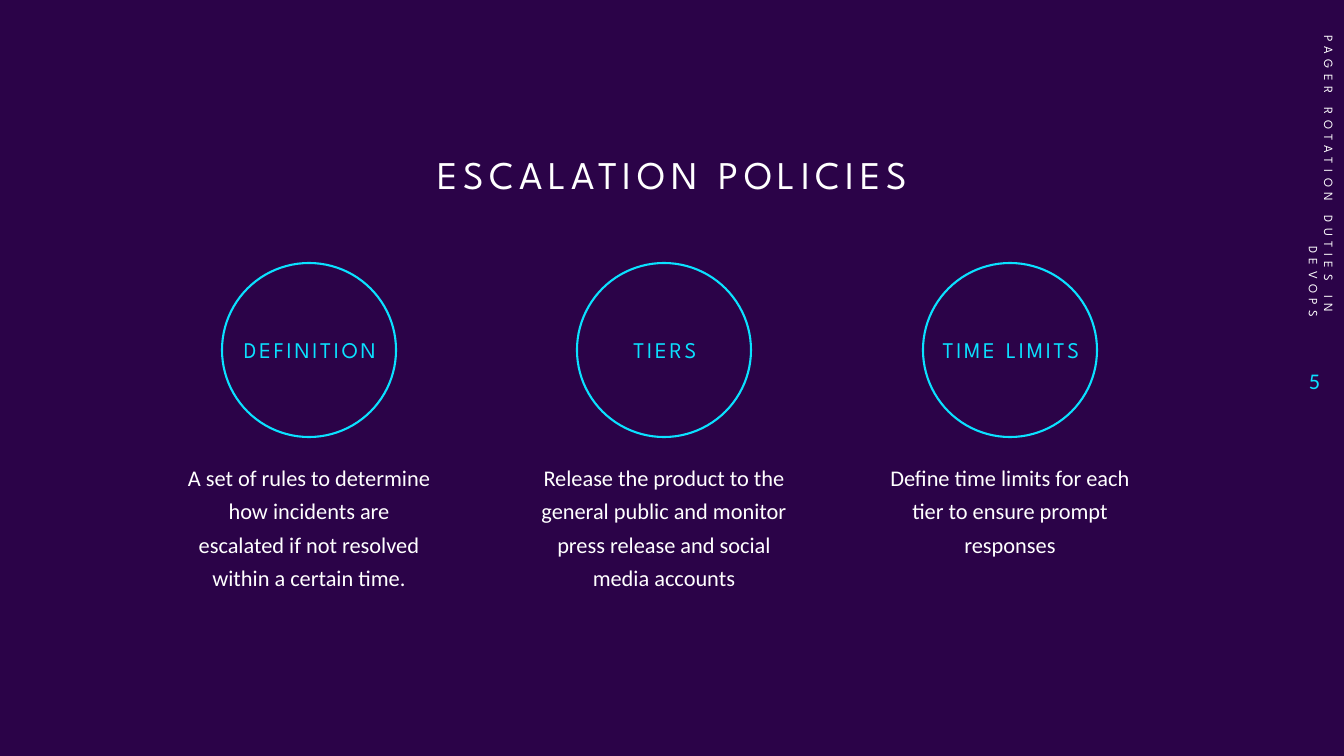
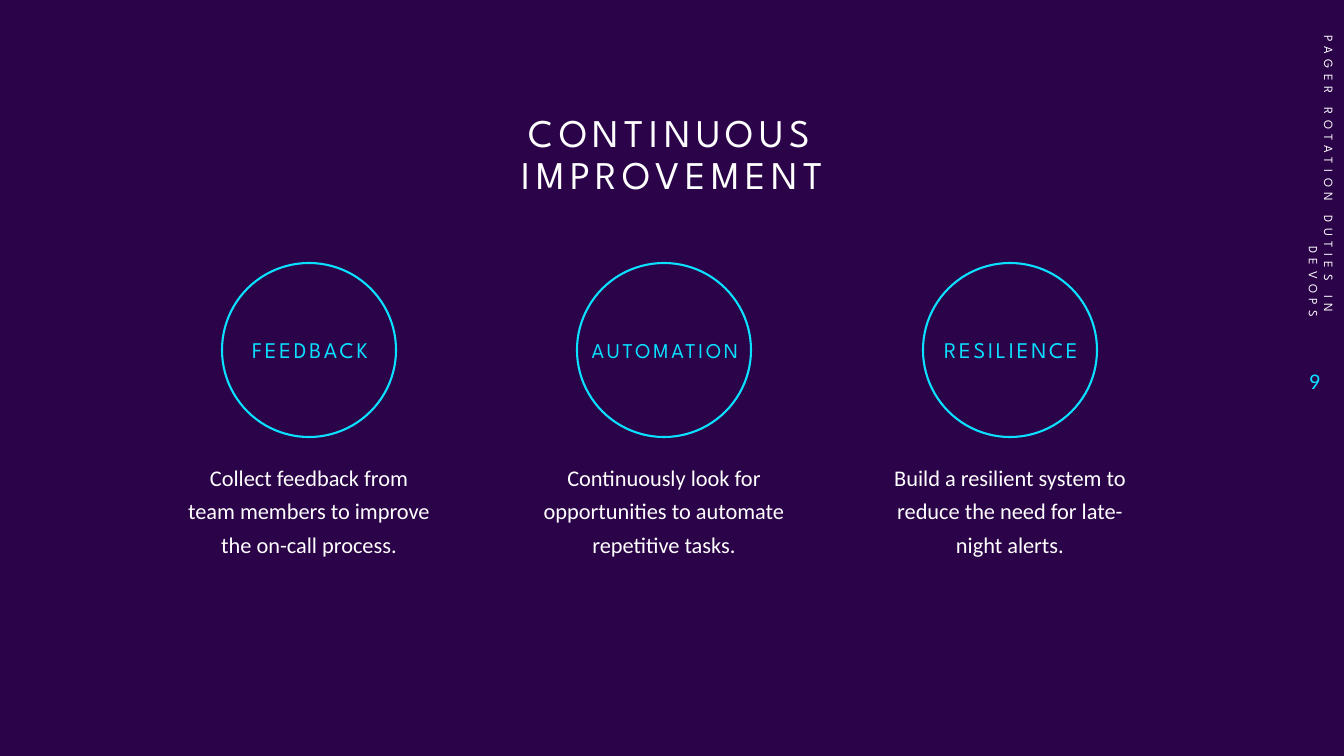
from dataclasses import dataclass

from pptx import Presentation
from pptx.dml.color import RGBColor
from pptx.enum.shapes import MSO_SHAPE
from pptx.enum.text import MSO_ANCHOR, PP_ALIGN
from pptx.util import Emu, Pt

OVAL = MSO_SHAPE.OVAL
TOP, MIDDLE, BOTTOM = MSO_ANCHOR.TOP, MSO_ANCHOR.MIDDLE, MSO_ANCHOR.BOTTOM
CENTER, RIGHT = PP_ALIGN.CENTER, PP_ALIGN.RIGHT
PX_PER_INCH = 100.8


@dataclass(frozen=True)
class Theme:
    background: RGBColor = RGBColor(0x2B, 0x03, 0x48)
    accent: RGBColor = RGBColor(0x0B, 0xE1, 0xFF)
    text: RGBColor = RGBColor(0xFF, 0xFF, 0xFF)
    heading_font: str = "League Spartan"
    body_font: str = "Calibri"
    title_size: int = 28
    label_size: int = 16
    long_label_size: int = 15
    body_size: int = 16
    caption_size: int = 9
    title_tracking: int = 4
    label_tracking: int = 2
    caption_tracking: int = 4
    ring_width: float = 1.5


THEME = Theme()
SLIDE_W, SLIDE_H = 1344, 756
COLUMN_CENTERS = (309, 664, 1010)
RING_TOP, RING_SIZE = 263, 174
LABEL_W, LABEL_H = 188, 116
BODY_TOP, BODY_W, BODY_H = 452, 268, 150
CAPTION = "PAGER ROTATION DUTIES IN DEVOPS"

SLIDES = [
    ("ESCALATION POLICIES", 5, [
        ("DEFINITION", THEME.label_size,
         "A set of rules to determine how incidents are escalated "
         "if not resolved within a certain time."),
        ("TIERS", THEME.label_size,
         "Release the product to the general public and monitor "
         "press release and social media accounts"),
        ("TIME LIMITS", THEME.label_size,
         "Define time limits for each tier to ensure prompt responses"),
    ]),
    ("CONTINUOUS IMPROVEMENT", 9, [
        ("FEEDBACK", THEME.label_size,
         "Collect feedback from team members to improve the on-call process."),
        ("AUTOMATION", THEME.long_label_size,
         "Continuously look for opportunities to automate repetitive tasks."),
        ("RESILIENCE", THEME.label_size,
         "Build a resilient system to reduce the need for late-night alerts."),
    ]),
]


def px(n):
    return Emu(round(n * 914400 / PX_PER_INCH))


def add_text(s, box, text, size, font, color, align=CENTER, anchor=MIDDLE,
             tracking=0, line_spacing=1.0):
    tb = s.shapes.add_textbox(*map(px, box))
    tf = tb.text_frame
    tf.word_wrap = True
    tf.vertical_anchor = anchor
    p = tf.paragraphs[0]
    p.alignment = align
    p.line_spacing = line_spacing
    r = p.add_run()
    r.text = text
    r.font.size = Pt(size)
    r.font.name = font
    r.font.color.rgb = color
    if tracking:
        r.font._element.set("spc", str(tracking * 100))
    return tb


def add_ring(s, center):
    sp = s.shapes.add_shape(OVAL, px(center - RING_SIZE // 2), px(RING_TOP),
                            px(RING_SIZE), px(RING_SIZE))
    sp.shadow.inherit = False
    sp.fill.background()
    sp.line.color.rgb = THEME.accent
    sp.line.width = Pt(THEME.ring_width)


def add_column(s, center, label, label_size, body):
    add_ring(s, center)
    label_top = RING_TOP + (RING_SIZE - LABEL_H) // 2
    add_text(s, (center + 1 - LABEL_W // 2, label_top, LABEL_W, LABEL_H),
             label, label_size, THEME.heading_font, THEME.accent,
             tracking=THEME.label_tracking)
    add_text(s, (center - BODY_W // 2, BODY_TOP, BODY_W, BODY_H),
             body, THEME.body_size, THEME.body_font, THEME.text,
             anchor=TOP, line_spacing=1.25)


def add_title(s, title):
    add_text(s, (363, 102, 619, 101), title, THEME.title_size,
             THEME.heading_font, THEME.text, anchor=BOTTOM,
             tracking=THEME.title_tracking, line_spacing=0.9)


def add_footer(s, number):
    caption = add_text(s, (1169, 155, 305, 40), CAPTION, THEME.caption_size,
                       THEME.heading_font, THEME.text, align=RIGHT,
                       tracking=THEME.caption_tracking)
    caption.rotation = 90
    add_text(s, (1270, 349, 60, 64), str(number), THEME.body_size,
             THEME.body_font, THEME.accent, align=RIGHT)


def add_slide(prs, title, number, columns):
    s = prs.slides.add_slide(prs.slide_layouts[6])
    add_title(s, title)
    for center, column in zip(COLUMN_CENTERS, columns):
        add_column(s, center, *column)
    add_footer(s, number)


def main():
    prs = Presentation()
    prs.slide_width, prs.slide_height = px(SLIDE_W), px(SLIDE_H)
    fill = prs.slide_master.background.fill
    fill.solid()
    fill.fore_color.rgb = THEME.background
    for content in SLIDES:
        add_slide(prs, *content)
    prs.save("out.pptx")


if __name__ == "__main__":
    main()
